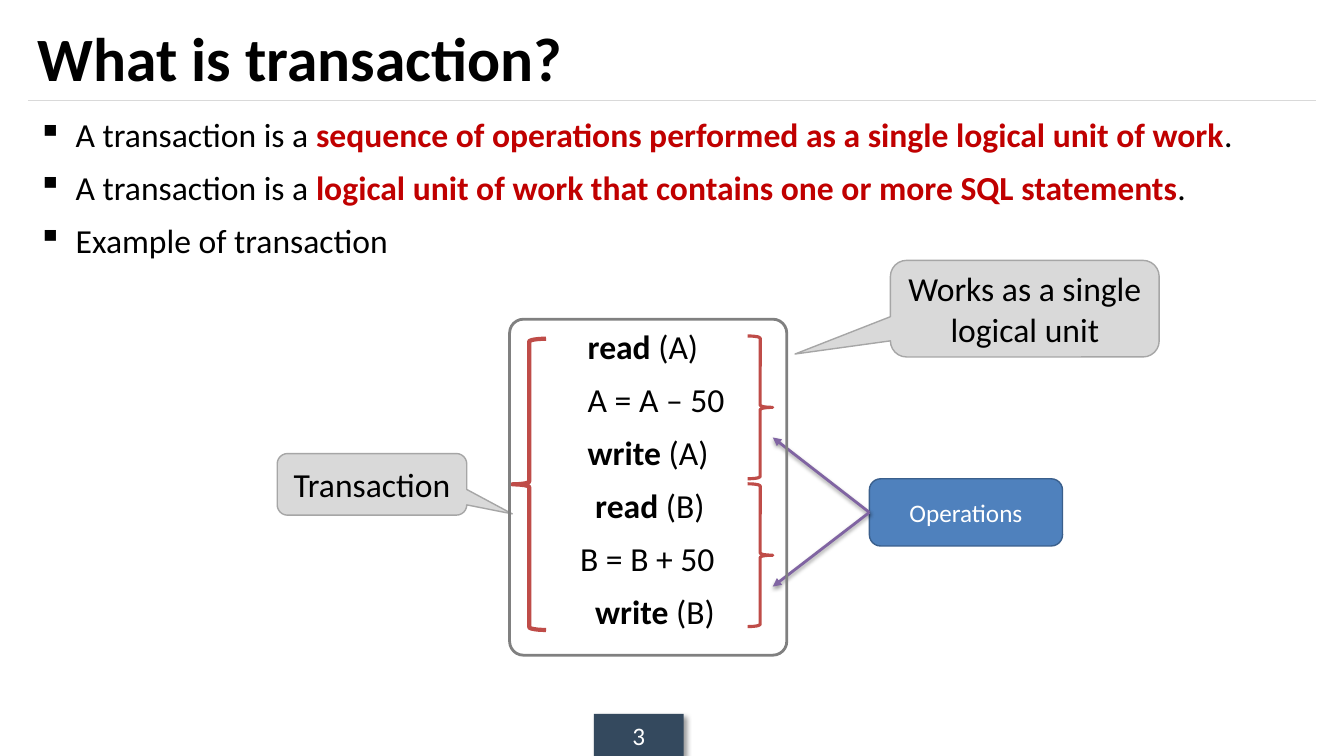
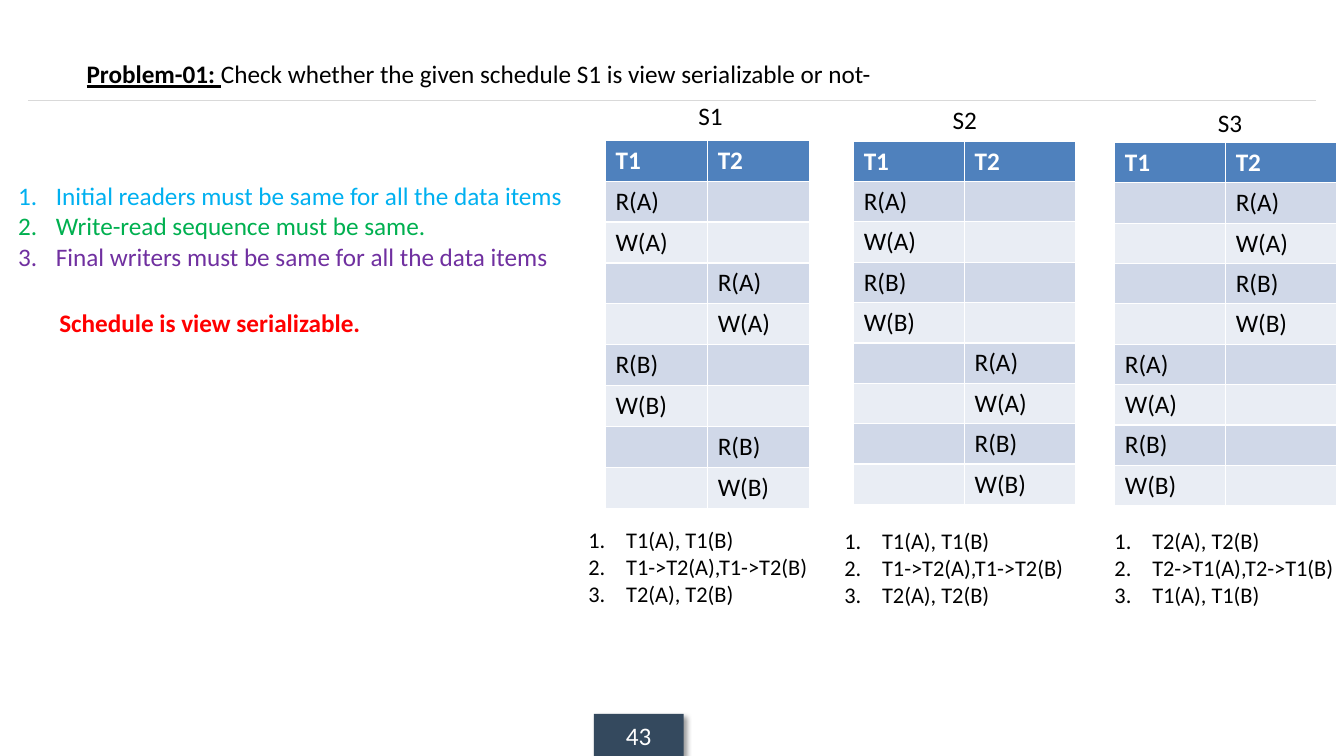
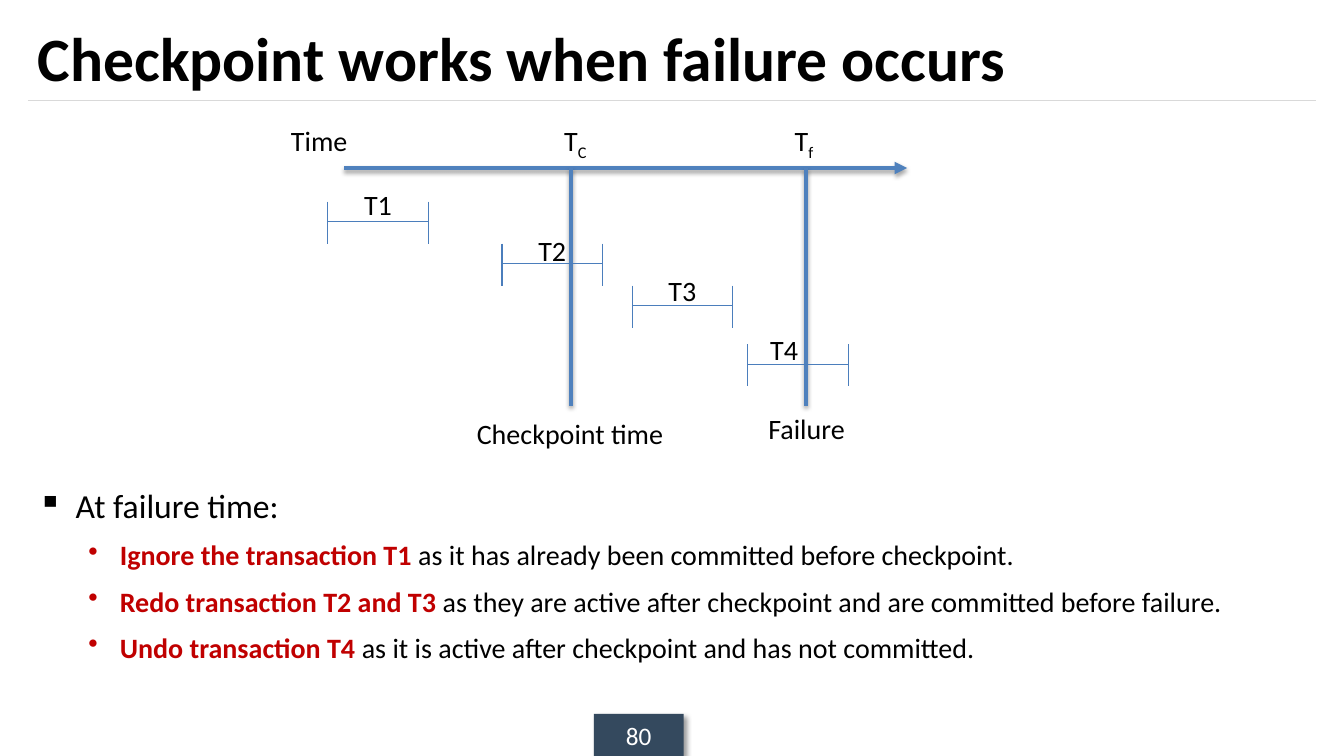
from dataclasses import dataclass
from typing import NamedTuple, Optional, Sequence

from lxml.etree import SubElement
from pptx import Presentation
from pptx.dml.color import RGBColor
from pptx.enum.shapes import MSO_CONNECTOR, MSO_SHAPE as Preset
from pptx.enum.text import MSO_ANCHOR as Anchor, MSO_AUTO_SIZE as AutoSize, PP_ALIGN as Align
from pptx.oxml.ns import qn
from pptx.util import Pt

FONT = "Calibri"
COLORS = {
    "black": "000000", "white": "FFFFFF", "rule": "D9D9D9", "badge": "34495E",
    "key": "C00000", "brace": "BF4C48", "callout": "D9D9D9", "callout_edge": "A6A6A6",
    "blue": "4F81BD", "blue_edge": "3A5F8C", "bracket": "4B7EBC", "purple": "8064A2",
    "frame": "808080", "band_dark": "D0D8E8", "band_light": "E9EDF4",
    "reads": "00B0F0", "sequence": "00B050", "writes": "7030A0", "verdict": "FF0000",
}


class Area(NamedTuple):
    left: float
    top: float
    width: float
    height: float


class Shadow(NamedTuple):
    alpha: int
    blur: float
    distance: float
    angle: int


class Span(NamedTuple):
    text: str
    bold: bool = False
    color: Optional[str] = None
    underline: bool = False
    subscript: bool = False


@dataclass
class Para:
    spans: Sequence[Span]
    size: float = 18
    color: str = "black"
    align: Align = Align.LEFT
    marker: str = ""  # a bullet character, or "1." for automatic numbers
    indent: float = 0
    hang: float = 0
    before: float = 0


@dataclass
class Schedule:
    name: str
    label_at: tuple[float, float]
    table_at: tuple[float, float]
    column_width: float
    row_height: float
    accesses: Sequence[tuple[int, str]]  # column of the transaction, data item
    checks_at: tuple[float, float]
    checks: Sequence[str]


class Bracket(NamedTuple):
    name: str
    left: float
    top: float
    label_left: float
    label_top: float


BADGE_SHADOW = Shadow(40, 4, 3, 45)
ARROW_SHADOW = Shadow(38, 3.1, 1.6, 90)
AXIS_SHADOW = Shadow(35, 3.1, 1.8, 90)

T1_FIRST = ("T1(A), T1(B)", "T1->T2(A),T1->T2(B)", "T2(A), T2(B)")
T2_FIRST = ("T2(A), T2(B)", "T2->T1(A),T2->T1(B)", "T1(A), T1(B)")
SCHEDULES = (
    Schedule("S1", (491.8, 68.4), (432.5, 100.2), 73, 29.2,
             ((0, "A"), (1, "A"), (0, "B"), (1, "B")), (413.2, 372.2), T1_FIRST),
    Schedule("S2", (673.4, 70.8), (609.8, 100.8), 79.2, 28.8,
             ((0, "A"), (0, "B"), (1, "A"), (1, "B")), (596, 373), T1_FIRST),
    Schedule("S3", (862.8, 72.9), (796.3, 101.7), 79.2, 28.8,
             ((1, "A"), (1, "B"), (0, "A"), (0, "B")), (789, 373), T2_FIRST),
)
BRACKETS = (
    Bracket("T1", 234, 144, 251.3, 130.3),
    Bracket("T2", 358.6, 174, 375.8, 163.4),
    Bracket("T3", 451.5, 204, 468.7, 191.5),
    Bracket("T4", 534, 246, 541.4, 234),
)


def rgb(name: str) -> RGBColor:
    return RGBColor.from_string(COLORS[name])


def place(area: Area) -> list:
    return [Pt(length) for length in area]


def set_effects(item, shadow: Optional[Shadow]) -> None:
    """Replace the theme shadow by the given one, or by none."""
    effects = SubElement(item._element.spPr, qn("a:effectLst"))
    if shadow:
        outer = SubElement(effects, qn("a:outerShdw"), blurRad=str(Pt(shadow.blur)),
                           dist=str(Pt(shadow.distance)), dir=str(shadow.angle * 60000),
                           algn="ctr", rotWithShape="0")
        color = SubElement(outer, qn("a:srgbClr"), val=COLORS["black"])
        SubElement(color, qn("a:alpha"), val=str(shadow.alpha * 1000))


def set_marker(paragraph, para: Para) -> None:
    properties = paragraph._p.get_or_add_pPr()
    properties.set("marL", str(Pt(para.indent)))
    properties.set("indent", str(-Pt(para.hang)))
    if para.marker == "1.":
        SubElement(properties, qn("a:buAutoNum"), type="arabicPeriod")
    elif para.marker:
        SubElement(properties, qn("a:buChar"), char=para.marker)


def write(frame, paras: Sequence[Para]) -> None:
    for index, para in enumerate(paras):
        paragraph = frame.add_paragraph() if index else frame.paragraphs[0]
        set_marker(paragraph, para)
        paragraph.alignment = para.align
        paragraph.space_before = Pt(para.before)
        paragraph.font.name = FONT
        paragraph.font.size = Pt(para.size)
        paragraph.font.color.rgb = rgb(para.color)
        for span in para.spans:
            run = paragraph.add_run()
            run.text = span.text
            if span.bold:
                run.font.bold = True
            if span.underline:
                run.font.underline = True
            if span.color:
                run.font.color.rgb = rgb(span.color)
            if span.subscript:
                run._r.get_or_add_rPr().set("baseline", "-25000")


def add_text(page, area: Area, paras: Sequence[Para], wrap: bool = True,
             anchor: Anchor = Anchor.TOP) -> None:
    frame = page.shapes.add_textbox(*place(area)).text_frame
    frame.word_wrap = wrap
    if not wrap:
        frame.auto_size = AutoSize.SHAPE_TO_FIT_TEXT
    frame.vertical_anchor = anchor
    write(frame, paras)


def add_label(page, area: Area, *spans: Span) -> None:
    add_text(page, area, [Para(spans, 20, align=Align.CENTER)])


def add_preset(page, preset: Preset, area: Area, fill: str = "", line: str = "",
               weight: float = 1, adjust: Sequence[float] = (),
               para: Optional[Para] = None, shadow: Optional[Shadow] = None) -> None:
    shape = page.shapes.add_shape(preset, *place(area))
    for index, value in enumerate(adjust):
        shape.adjustments[index] = value
    if fill:
        shape.fill.solid()
        shape.fill.fore_color.rgb = rgb(fill)
    else:
        shape.fill.background()
    if line:
        shape.line.color.rgb = rgb(line)
        shape.line.width = Pt(weight)
    else:
        shape.line.fill.background()
    set_effects(shape, shadow)
    if para:
        shape.text_frame.word_wrap = True
        shape.text_frame.vertical_anchor = Anchor.MIDDLE
        write(shape.text_frame, [para])


def add_line(page, start: tuple[float, float], end: tuple[float, float], color: str,
             weight: float = 0.75, arrow: bool = False,
             shadow: Optional[Shadow] = None) -> None:
    line = page.shapes.add_connector(MSO_CONNECTOR.STRAIGHT,
                                     *(Pt(length) for length in (*start, *end)))
    line.line.color.rgb = rgb(color)
    line.line.width = Pt(weight)
    if arrow:
        SubElement(line.line._get_or_add_ln(), qn("a:tailEnd"), type="triangle")
    set_effects(line, shadow)


def add_page(deck, number: int, title: str = ""):
    """Add a blank slide with the rule, the page number and, if given, the title."""
    page = deck.slides.add_slide(deck.slide_layouts[6])
    add_line(page, (20, 72), (940, 72), "rule")
    add_preset(page, Preset.RECTANGLE, Area(424.3, 510, 64, 30), "badge",
               para=Para([Span(str(number))], 18, "white", Align.CENTER),
               shadow=BADGE_SHADOW)
    if title:
        add_text(page, Area(20, 8.6, 920, 63.4), [Para([Span(title, bold=True)], 44)],
                 anchor=Anchor.MIDDLE)
    return page


def bullet(*spans: Span) -> Para:
    return Para(spans, 24, marker="▪", indent=27, hang=27, before=9)


def sub_bullet(key: str, rest: str) -> Para:
    return Para([Span(key, True, "key"), Span(rest)], 20, marker="•",
                indent=58.5, hang=22.5, before=9)


def numbered(text: str, size: float, color: str = "black") -> Para:
    return Para([Span(text)], size, color, marker="1.", indent=27, hang=27)


def code(indent: float, keyword: str, rest: str) -> Para:
    return Para([Span(keyword, True), Span(rest)] if keyword else [Span(rest)],
                24, indent=indent, before=9)


def add_callout(page, area: Area, text: str, tip: tuple[float, float]) -> None:
    add_preset(page, Preset.ROUNDED_RECTANGULAR_CALLOUT, area, "callout", "callout_edge",
               adjust=(*tip, 0.167), para=Para([Span(text)], 24, align=Align.CENTER))


def build_definition(deck) -> None:
    page = add_page(deck, 3, "What is transaction?")
    add_text(page, Area(20, 77.8, 920, 115), [
        bullet(Span("A transaction is a "),
               Span("sequence of operations performed as a single logical unit of work",
                    True, "key"), Span(".")),
        bullet(Span("A transaction is a "),
               Span("logical unit of work that contains one or more SQL statements",
                    True, "key"), Span(".")),
        bullet(Span("Example of transaction")),
    ])
    add_text(page, Area(407.3, 229.2, 130, 230), [
        code(5.4, "read ", "(A)"),
        code(5.4, "", "A = A – 50"),
        code(5.4, "write ", "(A)"),
        code(10.8, "read ", "(B)"),
        code(0, "", "B = B + 50"),
        code(10.8, "write ", "(B)"),
    ])
    for top in (240, 345.6):
        add_preset(page, Preset.RIGHT_BRACE, Area(534, top, 18, 102), line="brace", weight=2.25)
    add_preset(page, Preset.LEFT_BRACE, Area(366, 242, 24, 208), line="brace", weight=3)
    add_callout(page, Area(198, 324, 135.4, 44), "Transaction", (0.74, 0.48))
    add_preset(page, Preset.ROUNDED_RECTANGLE, Area(621, 342, 138, 48), "blue", "blue_edge",
               para=Para([Span("Operations")], 18, "white", Align.CENTER))
    for target in (312.5, 419):
        add_line(page, (621, 366), (552, target), "purple", 2, True, ARROW_SHADOW)
    add_preset(page, Preset.ROUNDED_RECTANGLE, Area(364, 228, 198, 240), line="frame",
               weight=2, adjust=(0.05,))
    add_callout(page, Area(636, 186, 192, 69), "Works as a single logical unit",
                (-0.855, 0.47))


def add_schedule_table(page, schedule: Schedule) -> None:
    rows = [("T1", "T2")]
    for column, item in schedule.accesses:
        for action in ("R", "W"):
            step = f"{action}({item})"
            rows.append(("", step) if column else (step, ""))
    area = Area(*schedule.table_at, 2 * schedule.column_width, len(rows) * schedule.row_height)
    table = page.shapes.add_table(len(rows), 2, *place(area)).table
    for row_index, row in enumerate(rows):
        header = row_index == 0
        band = "blue" if header else "band_dark" if row_index % 2 else "band_light"
        for column, text in enumerate(row):
            cell = table.cell(row_index, column)
            cell.fill.solid()
            cell.fill.fore_color.rgb = rgb(band)
            if text:
                write(cell.text_frame,
                      [Para([Span(text, header)], 18, "white" if header else "black")])


def build_problem(deck) -> None:
    page = add_page(deck, 43)
    add_text(page, Area(54.7, 38.2, 832, 29), [Para([
        Span("Problem-01: ", bold=True, underline=True),
        Span("Check whether the given schedule S1 is view serializable or not-"),
    ])])
    add_text(page, Area(5.8, 125.3, 480, 138), [
        numbered("Initial readers must be same for all the data items", 18, "reads"),
        numbered("Write-read sequence must be same.", 18, "sequence"),
        numbered("Final writers must be same for all the data items", 18, "writes"),
    ])
    add_text(page, Area(35.3, 216, 231, 29),
             [Para([Span("Schedule is view serializable.", True)], color="verdict")], wrap=False)
    for schedule in SCHEDULES:
        add_schedule_table(page, schedule)
        add_text(page, Area(*schedule.label_at, 32.4, 29), [Para([Span(schedule.name)])],
                 wrap=False)
        add_text(page, Area(*schedule.checks_at, 172.8, 67),
                 [numbered(check, 16) for check in schedule.checks], wrap=False)


def add_bracket(page, bracket: Bracket) -> None:
    left, right, top = bracket.left, bracket.left + 72, bracket.top
    add_line(page, (left, top + 14.4), (right, top + 14.4), "bracket")
    for end in (left, right):
        add_line(page, (end, top), (end, top + 30), "bracket")


def build_checkpoint(deck) -> None:
    page = add_page(deck, 80, "Checkpoint works when failure occurs")
    add_text(page, Area(20, 342.9, 920, 150), [
        bullet(Span("At failure time:")),
        sub_bullet("Ignore the transaction T1 ",
                   "as it has already been committed before checkpoint."),
        sub_bullet("Redo transaction T2 and T3 ",
                   "as they are active after checkpoint and are committed before failure."),
        sub_bullet("Undo transaction T4 ",
                   "as it is active after checkpoint and has not committed."),
    ])
    add_line(page, (246, 120), (648, 120), "blue", 3, True, AXIS_SHADOW)
    add_label(page, Area(198, 85, 60, 31.5), Span("Time"))
    for left, mark in ((384, "C"), (547.2, "f")):
        add_label(page, Area(left, 84.4, 54, 31.5), Span("T"), Span(mark, subscript=True))
    for moment in (408, 576):
        add_line(page, (moment, 120), (moment, 290), "blue", 3, shadow=AXIS_SHADOW)
    for bracket in BRACKETS:
        add_bracket(page, bracket)
        add_label(page, Area(bracket.label_left, bracket.label_top, 37.4, 31.5),
                  Span(bracket.name))
    add_label(page, Area(331.2, 293.6, 152, 31.5), Span("Checkpoint time"))
    add_label(page, Area(538.6, 290.2, 75, 31.5), Span("Failure"))


def main() -> None:
    deck = Presentation()
    deck.slide_width, deck.slide_height = Pt(960), Pt(540)
    build_definition(deck)
    build_problem(deck)
    build_checkpoint(deck)
    deck.save("out.pptx")


if __name__ == "__main__":
    main()
